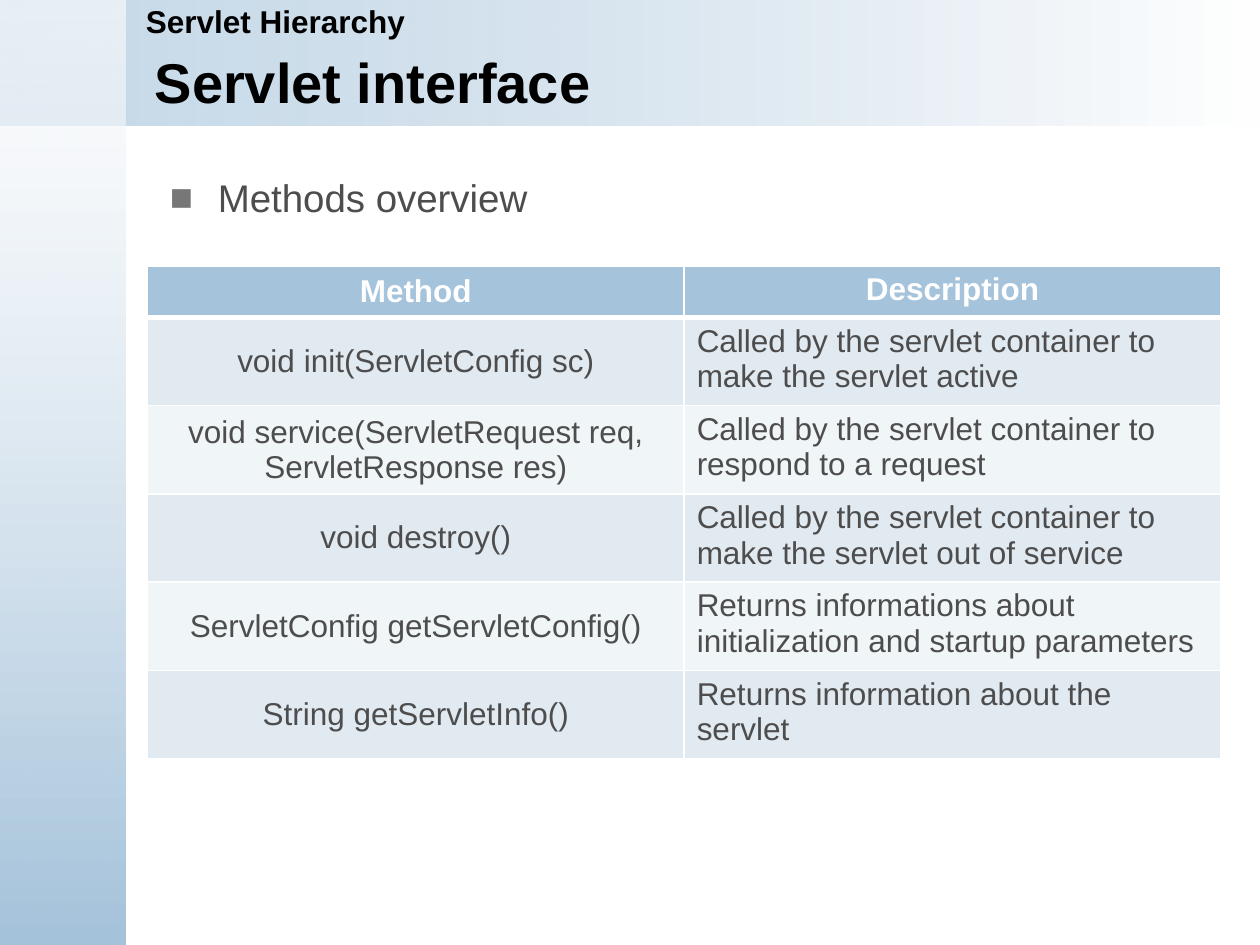
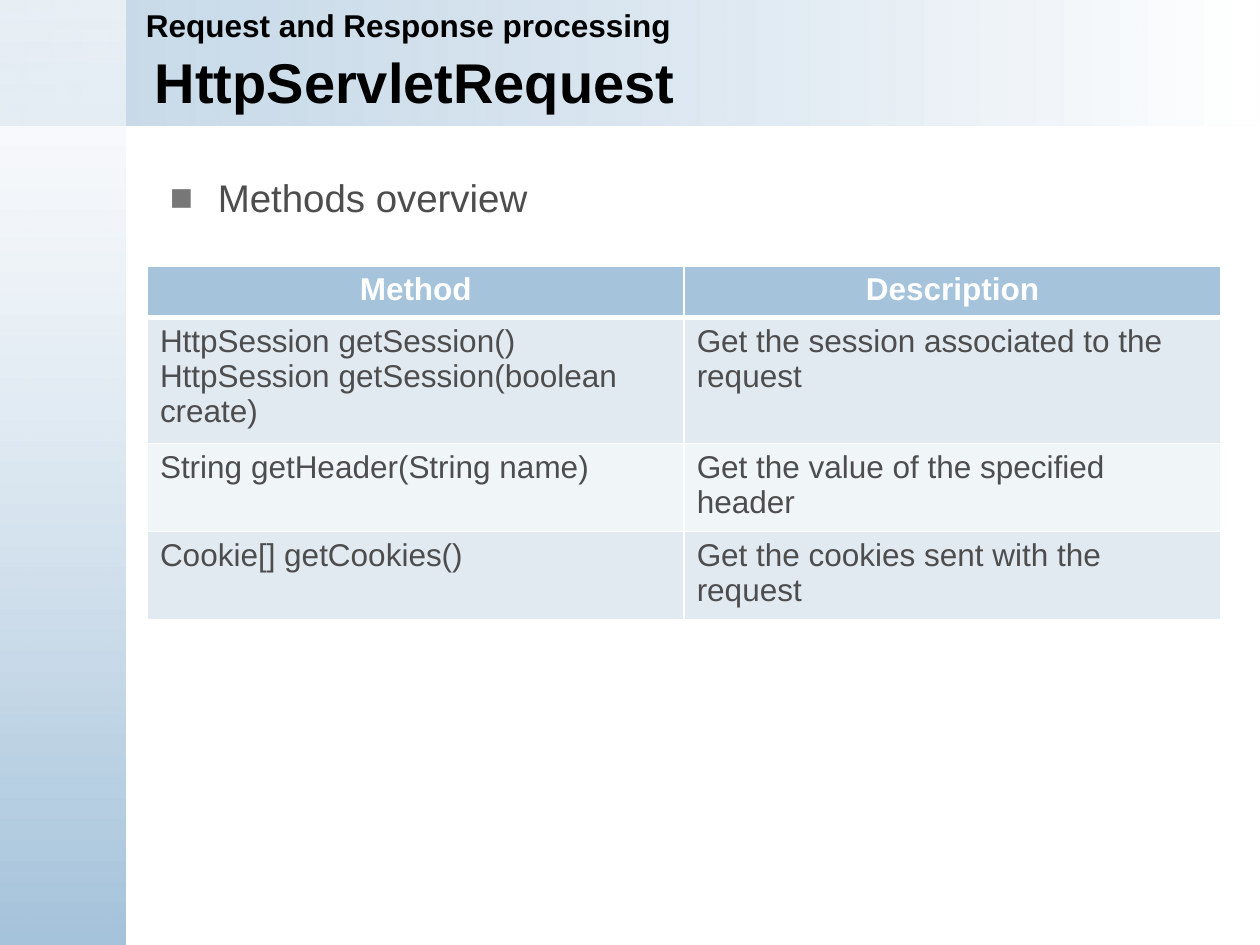
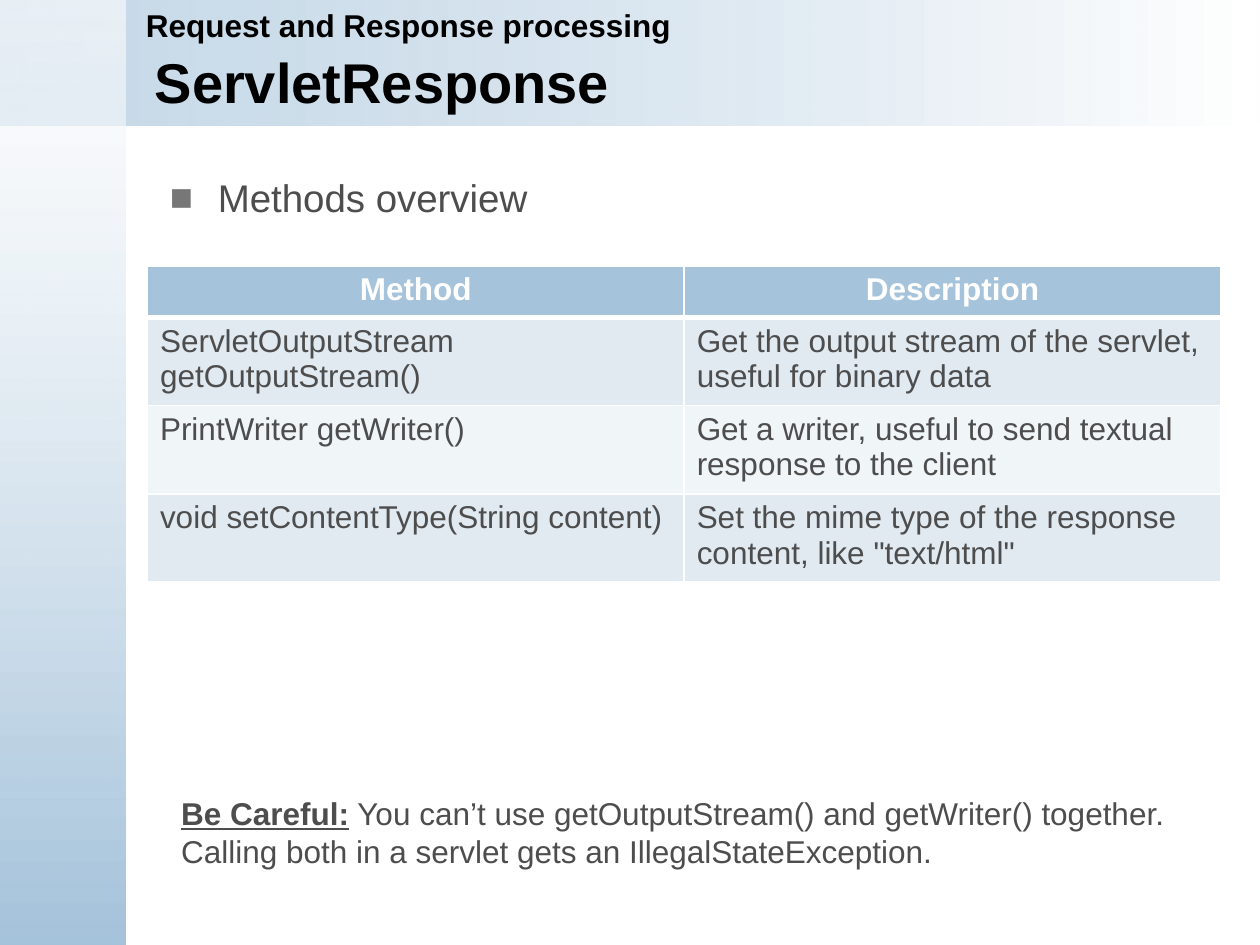
from lxml.etree import SubElement
from pptx import Presentation
from pptx.dml.color import RGBColor
from pptx.enum.shapes import MSO_SHAPE
from pptx.enum.text import MSO_ANCHOR, MSO_AUTO_SIZE, PP_ALIGN
from pptx.oxml.ns import qn
from pptx.util import Inches, Pt

BLUE = RGBColor(0xA5, 0xC3, 0xDB)
WHITE = RGBColor(0xFF, 0xFF, 0xFF)
BLACK = RGBColor(0x00, 0x00, 0x00)
TEXT_GRAY = RGBColor(0x4D, 0x4D, 0x4D)
BULLET_GRAY = RGBColor(0x77, 0x77, 0x77)
ROW_FILLS = (RGBColor(0xE1, 0xE9, 0xF1), RGBColor(0xF0, 0xF5, 0xF8))
FONT = "Arial"
HEADER = ("Method", "Description")
HEADER_HEIGHT = 0.41
ROW_HEIGHT = 0.7

SERVLET_METHODS = [
    ("void init(ServletConfig sc)",
     "Called by the servlet container to make the servlet active"),
    ("void service(ServletRequest req, ServletResponse res)",
     "Called by the servlet container to respond to a request"),
    ("void destroy()",
     "Called by the servlet container to make the servlet out of service"),
    ("ServletConfig getServletConfig()",
     "Returns informations about initialization and startup parameters"),
    ("String getServletInfo()", "Returns information about the servlet"),
]
REQUEST_METHODS = [
    ("HttpSession getSession()\nHttpSession getSession(boolean create)",
     "Get the session associated to the request"),
    ("String getHeader(String name)", "Get the value of the specified header"),
    ("Cookie[] getCookies()", "Get the cookies sent with the request"),
]
RESPONSE_METHODS = [
    ("ServletOutputStream getOutputStream()",
     "Get the output stream of the servlet, useful for binary data"),
    ("PrintWriter getWriter()",
     "Get a writer, useful to send textual response to the client"),
    ("void setContentType(String content)",
     'Set the mime type of the response content, like "text/html"'),
]


def add_span(para, text, size=18, color=TEXT_GRAY, bold=False, underline=False):
    """Add one formatted run to a paragraph."""
    span = para.add_run()
    span.text = text
    font = span.font
    font.name, font.size, font.bold = FONT, Pt(size), bold
    font.underline = underline
    font.color.rgb = color


def write(frame, text, lead="", align=PP_ALIGN.LEFT, **style):
    """Write each line as a paragraph, after an optional underlined lead."""
    for index, line in enumerate(text.split("\n")):
        para = frame.add_paragraph() if index else frame.paragraphs[0]
        para.alignment = align
        if lead and index == 0:
            add_span(para, lead, bold=True, underline=True)
        add_span(para, line, **style)


def add_text(page, left, top, width, height, text, wrap=True,
             anchor=MSO_ANCHOR.TOP, **style):
    """Add a text box and return its frame."""
    box = page.shapes.add_textbox(
        Inches(left), Inches(top), Inches(width), Inches(height))
    frame = box.text_frame
    frame.word_wrap = wrap
    frame.auto_size = MSO_AUTO_SIZE.NONE
    frame.vertical_anchor = anchor
    write(frame, text, **style)
    return frame


def add_band(page, width, height, start, end, opacity, angle):
    """Add a gradient band at the top left corner, its start translucent."""
    band = page.shapes.add_shape(
        MSO_SHAPE.RECTANGLE, 0, 0, Inches(width), Inches(height))
    band.shadow.inherit = False
    band.line.fill.background()
    band.fill.gradient()
    band.fill.gradient_angle = angle
    for stop, color in zip(band.fill.gradient_stops, (start, end)):
        stop.color.rgb = color
    first_color = band._element.spPr.find(".//" + qn("a:srgbClr"))
    SubElement(first_color, qn("a:alpha"), val=str(opacity * 1000))


def add_bullet(para, indent, color):
    """Give a paragraph a square bullet with a hanging indent."""
    properties = para._p.get_or_add_pPr()
    properties.set("marL", str(Inches(indent)))
    properties.set("indent", str(-Inches(indent)))
    bullet_color = SubElement(properties, qn("a:buClr"))
    SubElement(bullet_color, qn("a:srgbClr"), val=str(color))
    SubElement(properties, qn("a:buFont"), typeface=FONT)
    SubElement(properties, qn("a:buChar"), char="■")


def set_borders(cell, top, bottom):
    """Draw white borders, with top and bottom widths in points."""
    properties = cell._tc.get_or_add_tcPr()
    for side, width in (("L", 1), ("R", 1), ("T", top), ("B", bottom)):
        line = SubElement(properties, qn("a:ln" + side), w=str(Pt(width)))
        fill = SubElement(line, qn("a:solidFill"))
        SubElement(fill, qn("a:srgbClr"), val=str(WHITE))


def add_methods(page, left, top, width, methods, centered, first_height):
    """Add the table of methods and their descriptions."""
    heights = [HEADER_HEIGHT, first_height] + [ROW_HEIGHT] * (len(methods) - 1)
    table = page.shapes.add_table(
        len(heights), len(HEADER), Inches(left), Inches(top),
        Inches(width), Inches(sum(heights))).table
    table.horz_banding = False
    for row_index, texts in enumerate([HEADER] + methods):
        is_header = row_index == 0
        table.rows[row_index].height = Inches(heights[row_index])
        for column, text in enumerate(texts):
            cell = table.cell(row_index, column)
            set_borders(cell, top=3 if row_index == 1 else 1,
                        bottom=3 if is_header else 1)
            cell.fill.solid()
            cell.fill.fore_color.rgb = (
                BLUE if is_header else ROW_FILLS[(row_index - 1) % 2])
            in_center = centered and column == 0
            if in_center:
                cell.vertical_anchor = MSO_ANCHOR.MIDDLE
            write(cell.text_frame, text, bold=is_header,
                  color=WHITE if is_header else TEXT_GRAY,
                  align=PP_ALIGN.CENTER if is_header or in_center
                  else PP_ALIGN.LEFT)


def add_page(deck, section, title, methods, section_top=0, centered=False,
             first_height=ROW_HEIGHT):
    """Add a page with bands, headings, a bullet and a table of methods."""
    page = deck.slides.add_slide(deck.slide_layouts[6])
    add_band(page, 10, 1, BLUE, WHITE, opacity=62, angle=0)
    add_band(page, 1, 7.5, WHITE, BLUE, opacity=59, angle=270)
    add_text(page, 1.13, 0.36, 8.45, 0.57, title, size=32, color=BLACK,
             bold=True, anchor=MSO_ANCHOR.MIDDLE)
    add_text(page, 1.06, section_top, 8.94, 0.4, section, color=BLACK, bold=True)
    overview = add_text(page, 1.25, 1.33, 8.28, 0.47, "Methods overview", size=22)
    add_bullet(overview.paragraphs[0], 0.38, BULLET_GRAY)
    add_methods(page, 1.17, 2.11, 8.52, methods, centered, first_height)
    return page


def main():
    """Build the deck and save it."""
    deck = Presentation()
    deck.slide_width, deck.slide_height = Inches(10), Inches(7.5)
    add_page(deck, "Servlet Hierarchy", "Servlet interface", SERVLET_METHODS,
             section_top=-0.03, centered=True)
    processing = "Request and Response processing"
    add_page(deck, processing, "HttpServletRequest", REQUEST_METHODS,
             first_height=1)
    page = add_page(deck, processing, "ServletResponse", RESPONSE_METHODS)
    add_text(page, 1.34, 6.25, 8.03, 0.71,
             " You can’t use getOutputStream() and getWriter() together.\n"
             "Calling both in a servlet gets an IllegalStateException.",
             lead="Be Careful:", wrap=False)
    deck.save("out.pptx")


if __name__ == "__main__":
    main()
